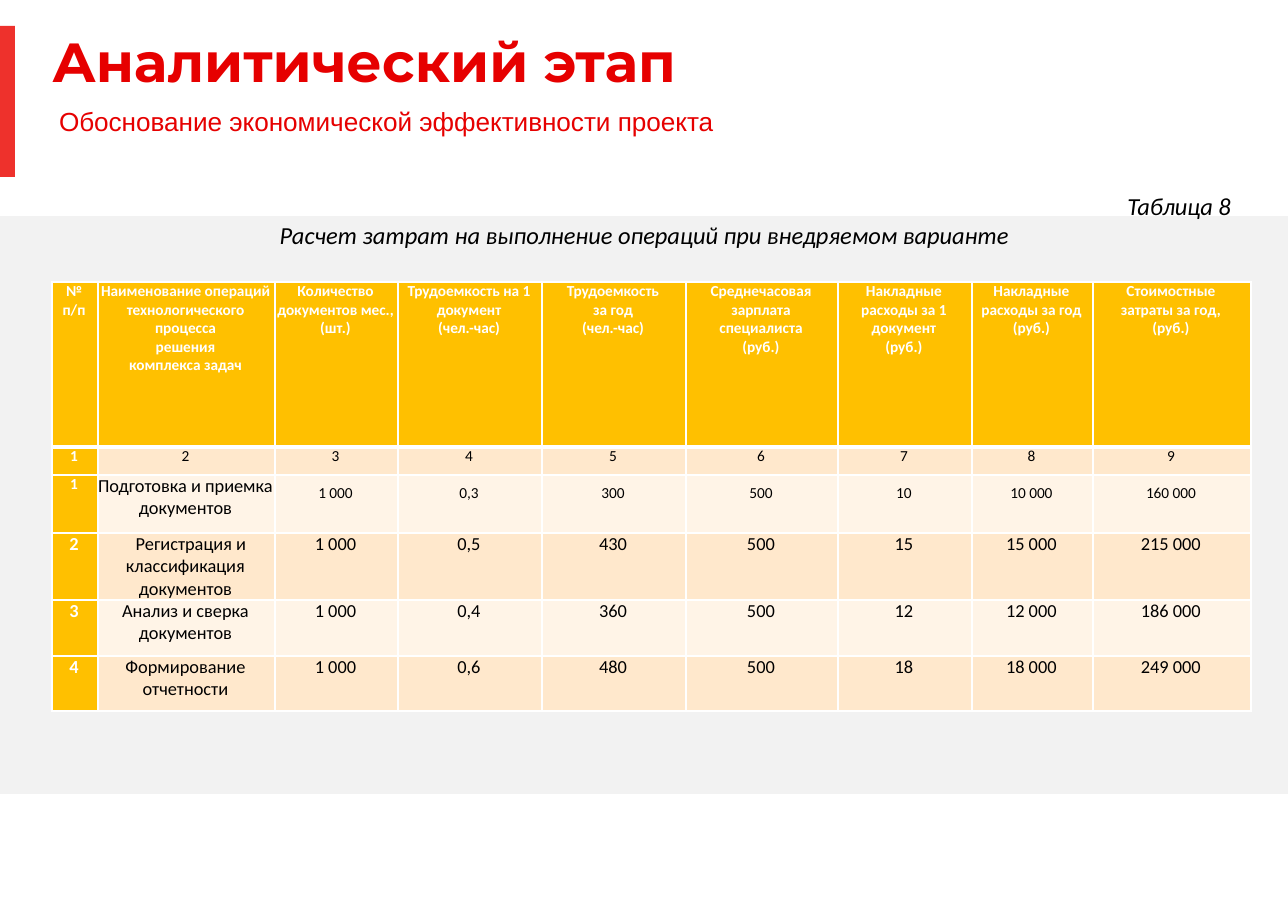
from dataclasses import dataclass

from lxml.etree import SubElement
from pptx import Presentation
from pptx.dml.color import RGBColor
from pptx.enum.shapes import MSO_SHAPE
from pptx.enum.text import MSO_ANCHOR, MSO_AUTO_SIZE, PP_ALIGN
from pptx.oxml.ns import qn
from pptx.util import Pt

PX = 8298
SLIDE_SIZE = (1288, 911)

TITLE = "Аналитический этап"
SUBTITLE = "Обоснование экономической эффективности проекта"
CAPTION = [
    ("Таблица 8", PP_ALIGN.RIGHT),
    ("Расчет затрат на выполнение операций при внедряемом варианте", PP_ALIGN.CENTER),
]
HEADER = [
    "№\nп/п",
    "Наименование операций\nтехнологического процесса\nрешения\nкомплекса задач",
    "Количество документов мес.,\n(шт.)",
    "Трудоемкость на 1 документ\n(чел.-час)",
    "Трудоемкость\nза год\n(чел.-час)",
    "Среднечасовая зарплата\nспециалиста\n(руб.)",
    "Накладные расходы за 1\nдокумент\n(руб.)",
    "Накладные расходы за год\n(руб.)",
    "Стоимостные\nзатраты за год,\n(руб.)",
]
COLUMN_NUMBERS = [str(number) for number in range(1, len(HEADER) + 1)]
OPERATIONS = [
    ["1", "Подготовка и приемка документов", "1 000", "0,3", "300", "500", "10", "10 000", "160 000"],
    ["2", "Регистрация и классификация документов", "1 000", "0,5", "430", "500", "15", "15 000", "215 000"],
    ["3", "Анализ и сверка документов", "1 000", "0,4", "360", "500", "12", "12 000", "186 000"],
    ["4", "Формирование отчетности", "1 000", "0,6", "480", "500", "18", "18 000", "249 000"],
]
COSTS = [HEADER, COLUMN_NUMBERS, *OPERATIONS]
COLUMN_WIDTHS = [46, 177, 123, 144, 144, 152, 134, 121, 158]
ROW_HEIGHTS = [165, 28, 58, 67, 56, 55]
HEADER_ROW, NUMBERS_ROW, FIRST_OPERATION, SECOND_OPERATION = range(4)
NAME_COLUMN = 1


@dataclass(frozen=True)
class Theme:
    red: str = "E60000"
    strip: str = "EE312C"
    panel: str = "F2F2F2"
    amber: str = "FFC000"
    bands: tuple = ("FFF4E7", "FFE8CC")
    white: str = "FFFFFF"
    black: str = "000000"
    title_font: str = "Montserrat"
    subtitle_font: str = "Arial"
    table_font: str = "Calibri"
    title_size: float = 36
    subtitle_size: float = 17.1
    caption_size: float = 16
    cell_size: float = 12
    small_size: float = 10


THEME = Theme()


def px(*lengths):
    return [length * PX for length in lengths]


def style(paragraph, name, size, color, align, bold=False, italic=False):
    paragraph.alignment = align
    font = paragraph.font
    font.name, font.size, font.bold, font.italic = name, Pt(size), bold, italic
    font.color.rgb = RGBColor.from_string(color)


def add_block(slide, box, color):
    block = slide.shapes.add_shape(MSO_SHAPE.RECTANGLE, *px(*box))
    block.shadow.inherit = False
    block.fill.solid()
    block.fill.fore_color.rgb = RGBColor.from_string(color)
    block.line.fill.background()


def frame_text(shape, box, margins, anchor):
    """Place the shape and return its text frame, ready for text."""
    shape.left, shape.top, shape.width, shape.height = px(*box)
    frame = shape.text_frame
    frame.word_wrap = True
    frame.auto_size = MSO_AUTO_SIZE.NONE
    frame.vertical_anchor = anchor
    frame.margin_left = frame.margin_right = margins[0] * PX
    frame.margin_top = frame.margin_bottom = margins[1] * PX
    return frame


def fill_headings(slide):
    title = frame_text(slide.shapes.title, (52, 35, 1224, 64), (0, 0), MSO_ANCHOR.TOP)
    title.text = TITLE
    title.paragraphs[0].line_spacing = 0.9
    style(title.paragraphs[0], THEME.title_font, THEME.title_size, THEME.red,
          PP_ALIGN.LEFT, bold=True)

    body = frame_text(slide.placeholders[1], (36, 75, 1184, 68), (12, 7), MSO_ANCHOR.BOTTOM)
    body.text = SUBTITLE
    subtitle = body.paragraphs[0]
    properties = subtitle._p.get_or_add_pPr()
    properties.set("marL", str(11 * PX))
    properties.set("indent", "0")
    SubElement(properties, qn("a:buNone"))
    subtitle.line_spacing = 0.7
    subtitle.space_before = Pt(0)
    style(subtitle, THEME.subtitle_font, THEME.subtitle_size, THEME.red, PP_ALIGN.LEFT)


def add_caption(slide):
    box = (46, 184, 1197, 75)
    frame = frame_text(slide.shapes.add_textbox(*px(*box)), box, (12, 7), MSO_ANCHOR.TOP)
    frame.text = "\n".join(text for text, _ in CAPTION)
    for paragraph, (_, align) in zip(frame.paragraphs, CAPTION):
        style(paragraph, THEME.table_font, THEME.caption_size, THEME.black, align, italic=True)


def draw_borders(cell, top, bottom):
    properties = cell._tc.get_or_add_tcPr()
    for side, points in (("L", 1), ("R", 1), ("T", top), ("B", bottom)):
        border = SubElement(properties, qn(f"a:ln{side}"), w=str(Pt(points)))
        fill = SubElement(border, qn("a:solidFill"))
        SubElement(fill, qn("a:srgbClr"), val=THEME.white)


def fill_cell(cell, text, row, column):
    draw_borders(cell, top=3 if row == NUMBERS_ROW else 1, bottom=3 if row == HEADER_ROW else 1)
    accented = row == HEADER_ROW or column == 0
    cell.fill.solid()
    cell.fill.fore_color.rgb = RGBColor.from_string(
        THEME.amber if accented else THEME.bands[row % 2])
    cell.margin_left = cell.margin_top = cell.margin_bottom = 0
    cell.margin_right = 2 * PX
    cell.vertical_anchor = MSO_ANCHOR.TOP
    cell.text = text

    small = row < FIRST_OPERATION or (row == FIRST_OPERATION and column != NAME_COLUMN)
    for paragraph in cell.text_frame.paragraphs:
        style(paragraph, THEME.table_font, THEME.small_size if small else THEME.cell_size,
              THEME.white if accented else THEME.black, PP_ALIGN.CENTER, bold=accented)
        if row == FIRST_OPERATION and column > NAME_COLUMN:
            paragraph.line_spacing = 1.5
        if (row, column) == (SECOND_OPERATION, NAME_COLUMN):
            paragraph._p.get_or_add_pPr().set("indent", str(11 * PX))


def add_cost_table(slide):
    table = slide.shapes.add_table(
        len(COSTS), len(HEADER),
        *px(52, 282, sum(COLUMN_WIDTHS), sum(ROW_HEIGHTS))).table
    table.horz_banding = False
    for column, width in zip(table.columns, COLUMN_WIDTHS):
        column.width = width * PX
    for row, height in zip(table.rows, ROW_HEIGHTS):
        row.height = height * PX
    for row, texts in enumerate(COSTS):
        for column, text in enumerate(texts):
            fill_cell(table.cell(row, column), text, row, column)


def main():
    deck = Presentation()
    deck.slide_width, deck.slide_height = px(*SLIDE_SIZE)
    slide = deck.slides.add_slide(deck.slide_layouts[1])
    add_block(slide, (0, 216, 1288, 578), THEME.panel)
    add_block(slide, (0, 26, 15, 151), THEME.strip)
    fill_headings(slide)
    add_caption(slide)
    add_cost_table(slide)
    deck.save("out.pptx")


if __name__ == "__main__":
    main()
